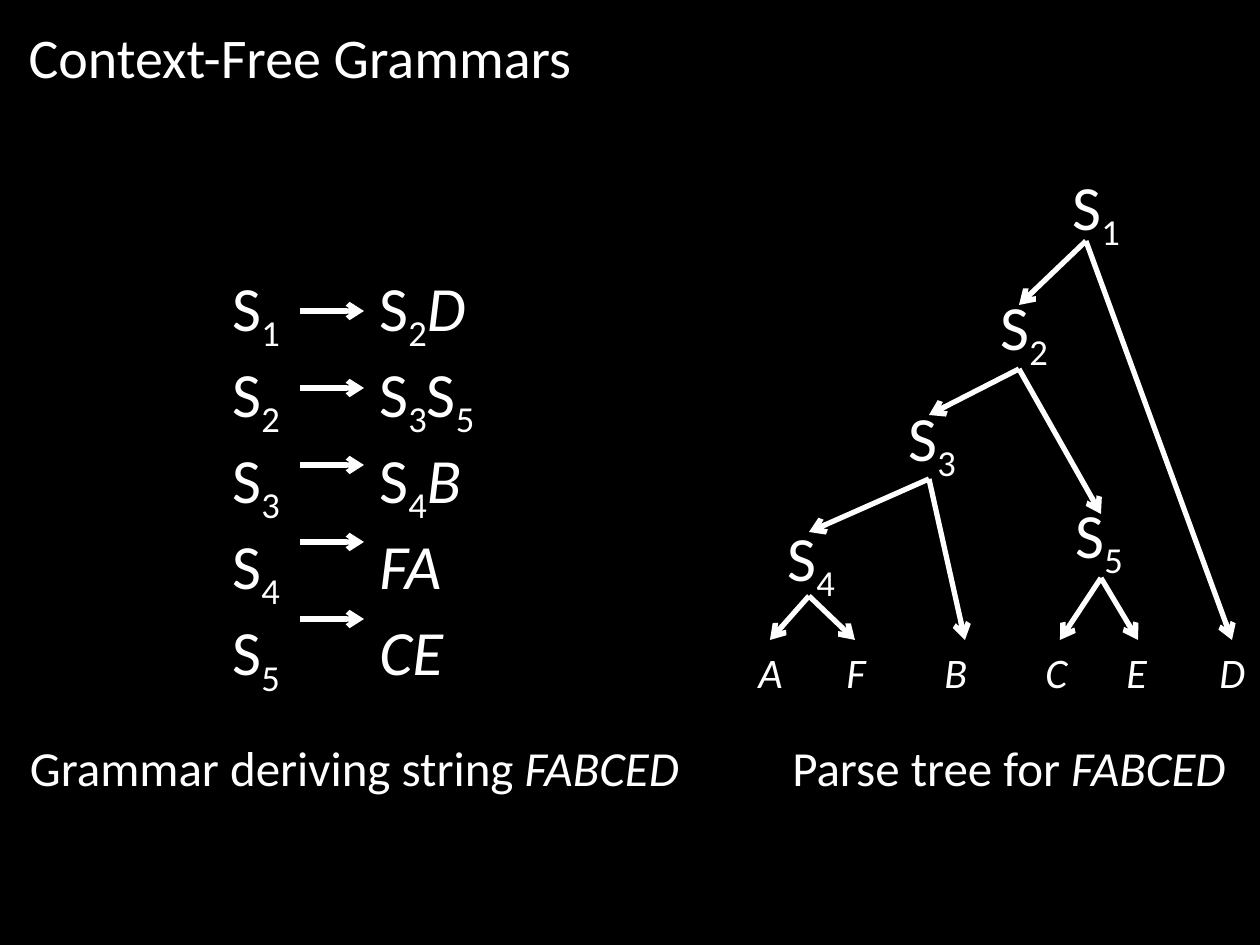
from lxml import etree
from pptx import Presentation
from pptx import util as u
from pptx.dml.color import RGBColor
from pptx.enum import shapes, text
from pptx.oxml.ns import qn

SCALE = 914400 // 126
WHITE, BLACK = "FFFFFF", "000000"
FONT = "Calibri"
PLAIN, ITALIC, SUB = "plain", "italic", "sub"

TITLE = "Context-Free Grammars"
RULES = [
    ("1", [("S", PLAIN), ("2", SUB), ("D", ITALIC)]),
    ("2", [("S", PLAIN), ("3", SUB), ("S", PLAIN), ("5", SUB)]),
    ("3", [("S", PLAIN), ("4", SUB), ("B", ITALIC)]),
    ("4", [("FA", ITALIC)]),
    ("5", [("CE", ITALIC)]),
]
CAPTIONS = [
    ("Grammar deriving string ", (0, 731, 709, 72), text.PP_ALIGN.CENTER),
    ("Parse tree for ", (780, 731, 470, 72), text.PP_ALIGN.LEFT),
]
STRING = "FABCED"

# symbol: (box left, box top, branch x, branch y)
NODES = {
    "1": (1060, 161, 1086, 241),
    "2": (988, 281, 1019, 369),
    "3": (896, 392, 929, 479),
    "4": (775, 512, 809, 596),
    "5": (1063, 489, 1101, 578),
}
LEAVES = {
    "A": (746, 770),
    "F": (834, 855),
    "B": (932, 965),
    "C": (1033, 1060),
    "E": (1114, 1138),
    "D": (1207, 1232),
}
CHILDREN = {"1": "2D", "2": "35", "3": "4B", "4": "AF", "5": "CE"}
LEAF_TOP, NODE_RISE = 640, 64
RULE_ARROW_LEFT, RULE_ARROW_RIGHT = 300, 364
RULE_ARROW_TOP, RULE_ARROW_STEP = 311, 77
RULE_TAB = 147


def px(value):
    return u.Emu(round(value * SCALE))


def color(value):
    return RGBColor.from_string(value)


def add_spans(para, spans, size):
    for words, style in spans:
        span = para.add_run()
        span.text = words
        span.font.name = FONT
        span.font.size = u.Pt(size)
        span.font.color.rgb = color(WHITE)
        span.font.italic = style == ITALIC
        if style == SUB:
            span.font._element.set("baseline", "-25000")


def add_text(page, area, paragraphs, size, align=text.PP_ALIGN.LEFT):
    box = page.shapes.add_textbox(*map(px, area))
    frame = box.text_frame
    frame.word_wrap = True
    for index, spans in enumerate(paragraphs):
        para = frame.add_paragraph() if index else frame.paragraphs[0]
        para.alignment = align
        add_spans(para, spans, size)
    return frame


def add_arrow(page, start, end):
    arrow = page.shapes.add_connector(
        shapes.MSO_CONNECTOR.STRAIGHT, *map(px, (*start, *end)))
    arrow.line.color.rgb = color(WHITE)
    arrow.line.width = u.Pt(3)
    etree.SubElement(arrow.line._get_or_add_ln(), qn("a:tailEnd"), type="arrow")
    etree.SubElement(arrow._element.spPr, qn("a:effectLst"))


def add_tab_stop(para, position):
    stops = etree.SubElement(para._p.get_or_add_pPr(), qn("a:tabLst"))
    etree.SubElement(stops, qn("a:tab"), pos=str(px(position)), algn="l")


def arrow_tip(name):
    if name in LEAVES:
        return LEAVES[name][1], LEAF_TOP
    left, top, x, y = NODES[name]
    return x, y - NODE_RISE


deck = Presentation()
deck.slide_width, deck.slide_height = u.Inches(10), u.Inches(7.5)
page = deck.slides.add_slide(deck.slide_layouts[5])
page.background.fill.solid()
page.background.fill.fore_color.rgb = color(BLACK)

title = page.shapes.title
title.left, title.top, title.width, title.height = map(px, (16, 16, 1133, 81))
title.text_frame.vertical_anchor = text.MSO_ANCHOR.TOP
title_para = title.text_frame.paragraphs[0]
title_para.alignment = text.PP_ALIGN.LEFT
add_spans(title_para, [(TITLE, PLAIN)], 32)

grammar = add_text(
    page, (220, 262, 308, 471),
    [[("S", PLAIN), (symbol, SUB), ("\t", PLAIN), *product] for symbol, product in RULES],
    36)
for index, para in enumerate(grammar.paragraphs):
    add_tab_stop(para, RULE_TAB)
    y = RULE_ARROW_TOP + index * RULE_ARROW_STEP
    add_arrow(page, (RULE_ARROW_LEFT, y), (RULE_ARROW_RIGHT, y))

for parent, children in CHILDREN.items():
    for child in children:
        add_arrow(page, NODES[parent][2:], arrow_tip(child))

for symbol, (left, top, x, y) in NODES.items():
    add_text(page, (left, top, 78, 89), [[("S", PLAIN), (symbol, SUB)]], 36)
for letter, (left, x) in LEAVES.items():
    add_text(page, (left, LEAF_TOP, 50, 63), [[(letter, ITALIC)]], 24)

for words, area, align in CAPTIONS:
    add_text(page, area, [[(words, PLAIN), (STRING, ITALIC)]], 28, align)

deck.save("out.pptx")
